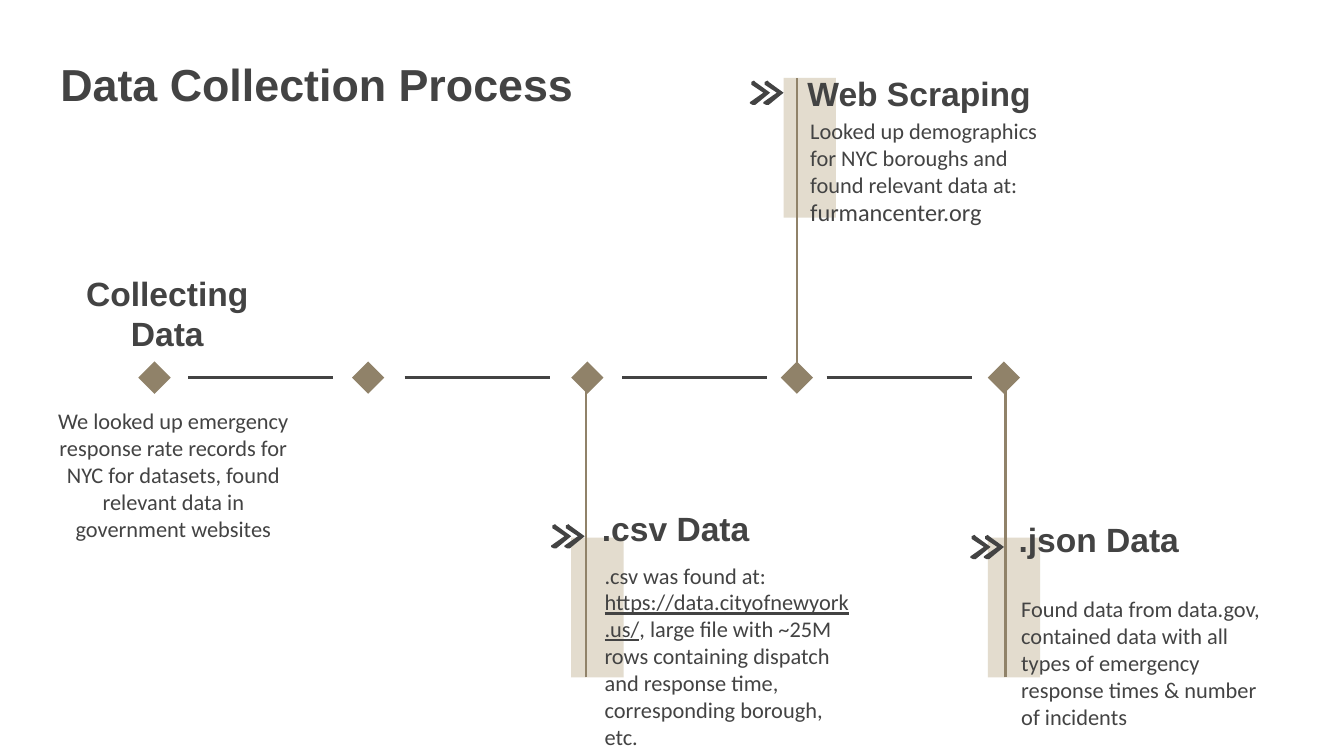
from dataclasses import dataclass
from lxml import etree
from pptx import Presentation
from pptx.dml.color import RGBColor
from pptx.enum import shapes, text
from pptx.oxml.ns import qn
from pptx.util import Inches, Pt

INK, BROWN, SAND = "434343", "908269", "CFC3AC"
AXIS_Y = 2.81
DIAMOND = 0.24
BAND_W, BAND_H = 0.39, 1.04
CHEVRON = [(0.04, 0), (0.02, 0.01), (0.02, 0.03), (0.11, 0.09), (0.01, 0.16),
           (0.01, 0.17), (0.03, 0.18), (0.05, 0.18), (0.16, 0.09), (0.05, 0.01)]


@dataclass
class Run:
    words: str
    size: float = 12
    font: str = "Calibri"
    bold: bool = False
    underline: bool = False


@dataclass
class Label:
    left: float
    top: float
    width: float
    height: float
    paragraphs: list[list[Run]]
    centered: bool = False


@dataclass
class Branch:
    stem_x: float
    stem_from: float
    stem_to: float
    band_left: float
    band_top: float
    arrow_left: float
    arrow_top: float


def heading(words: str, size: float = 18) -> list[list[Run]]:
    return [[Run(words, size, "Arial", bold=True)]]


BRANCHES = [
    Branch(5.93, 2.88, 0.58, 5.83, 0.58, 5.57, 0.6),
    Branch(4.36, 5.04, 2.82, 4.25, 4, 4.09, 3.9),
    Branch(7.48, 5.04, 2.82, 7.35, 4, 7.21, 3.98),
]
DIAMOND_LEFTS = [1.03, 2.62, 4.25, 5.81, 7.35]
LINK_LEFTS = [1.4, 3.01, 4.63, 6.15]
LINK_LENGTH = 1.08

LABELS = [
    Label(0.35, 0.32, 4.71, 0.53, heading("Data Collection Process", 24)),
    Label(5.93, 0.77, 2.02, 0.74, [
        [Run("Looked up demographics for NYC boroughs and found relevant data at:")],
        [Run("furmancenter.org", 13)],
    ]),
    Label(5.91, 0.44, 1.93, 0.49, heading("Web Scraping")),
    Label(4.4, 4.08, 2.02, 0.7, [[
        Run(".csv was found at: "),
        Run("https://data.cityofnewyork.us/", underline=True),
        Run(", large file with ~25M rows containing dispatch and response time, "
            "corresponding borough, etc."),
    ]]),
    Label(4.38, 3.68, 1.46, 0.46, heading(".csv Data")),
    Label(0.28, 2.93, 2.02, 0.7, [[
        Run("We looked up emergency response rate records for NYC for datasets, "
            "found relevant data in government websites"),
    ]], centered=True),
    Label(0.28, 1.93, 1.93, 0.46, heading("Collecting Data"), centered=True),
    Label(7.5, 4.33, 2.02, 0.7, [[
        Run("Found data from data.gov, contained data with all types of emergency "
            "response times & number of incidents"),
    ]]),
    Label(7.48, 3.76, 1.75, 0.46, heading(".json Data")),
]


def paint(color_format, color: str) -> None:
    color_format.rgb = RGBColor.from_string(color)


def fill_plain(sp, color: str) -> None:
    sp.shadow.inherit = False
    sp.fill.solid()
    paint(sp.fill.fore_color, color)
    sp.line.fill.background()


def add_block(s, kind, left: float, top: float, width: float, height: float, color: str):
    sp = s.shapes.add_shape(kind, Inches(left), Inches(top), Inches(width), Inches(height))
    fill_plain(sp, color)
    return sp


def add_band(s, branch: Branch) -> None:
    sp = add_block(s, shapes.MSO_SHAPE.RECTANGLE, branch.band_left, branch.band_top,
                   BAND_W, BAND_H, SAND)
    clr = sp._element.spPr.find(qn("a:solidFill"))[0]
    etree.SubElement(clr, qn("a:alpha")).set("val", "58000")


def add_line(s, x1: float, y1: float, x2: float, y2: float, color: str) -> None:
    cn = s.shapes.add_connector(shapes.MSO_CONNECTOR.STRAIGHT,
                                Inches(x1), Inches(y1), Inches(x2), Inches(y2))
    paint(cn.line.color, color)
    cn.line.width = Pt(1.5)
    etree.SubElement(cn._element.spPr, qn("a:effectLst"))


def add_arrow(s, left: float, top: float) -> None:
    for offset in (0.1, 0):
        pts = [(Inches(left + offset + x), Inches(top + y)) for x, y in CHEVRON]
        fb = s.shapes.build_freeform(*pts[0])
        fb.add_line_segments(pts[1:], close=True)
        fill_plain(fb.convert_to_shape(), INK)


def add_label(s, label: Label) -> None:
    box = s.shapes.add_textbox(Inches(label.left), Inches(label.top),
                               Inches(label.width), Inches(label.height))
    tf = box.text_frame
    tf.word_wrap = True
    tf.vertical_anchor = text.MSO_ANCHOR.TOP
    tf.margin_left = tf.margin_top = tf.margin_right = tf.margin_bottom = Inches(0.1)
    for i, runs in enumerate(label.paragraphs):
        p = tf.add_paragraph() if i else tf.paragraphs[0]
        p.alignment = text.PP_ALIGN.CENTER if label.centered else text.PP_ALIGN.LEFT
        for run in runs:
            r = p.add_run()
            r.text = run.words
            r.font.size = Pt(run.size)
            r.font.name = run.font
            r.font.bold = run.bold
            r.font.underline = run.underline
            paint(r.font.color, INK)


def main() -> None:
    prs = Presentation()
    prs.slide_width = Inches(10)
    prs.slide_height = prs.slide_width * 9 // 16
    s = prs.slides.add_slide(prs.slide_layouts[6])
    for branch in BRANCHES:
        add_band(s, branch)
        add_line(s, branch.stem_x, branch.stem_from, branch.stem_x, branch.stem_to, BROWN)
    for left in DIAMOND_LEFTS:
        add_block(s, shapes.MSO_SHAPE.DIAMOND, left, AXIS_Y - DIAMOND / 2,
                  DIAMOND, DIAMOND, BROWN)
    for left in LINK_LEFTS:
        add_line(s, left, AXIS_Y, left + LINK_LENGTH, AXIS_Y, INK)
    for label in LABELS:
        add_label(s, label)
    for branch in BRANCHES:
        add_arrow(s, branch.arrow_left, branch.arrow_top)
    prs.save("out.pptx")


if __name__ == "__main__":
    main()
